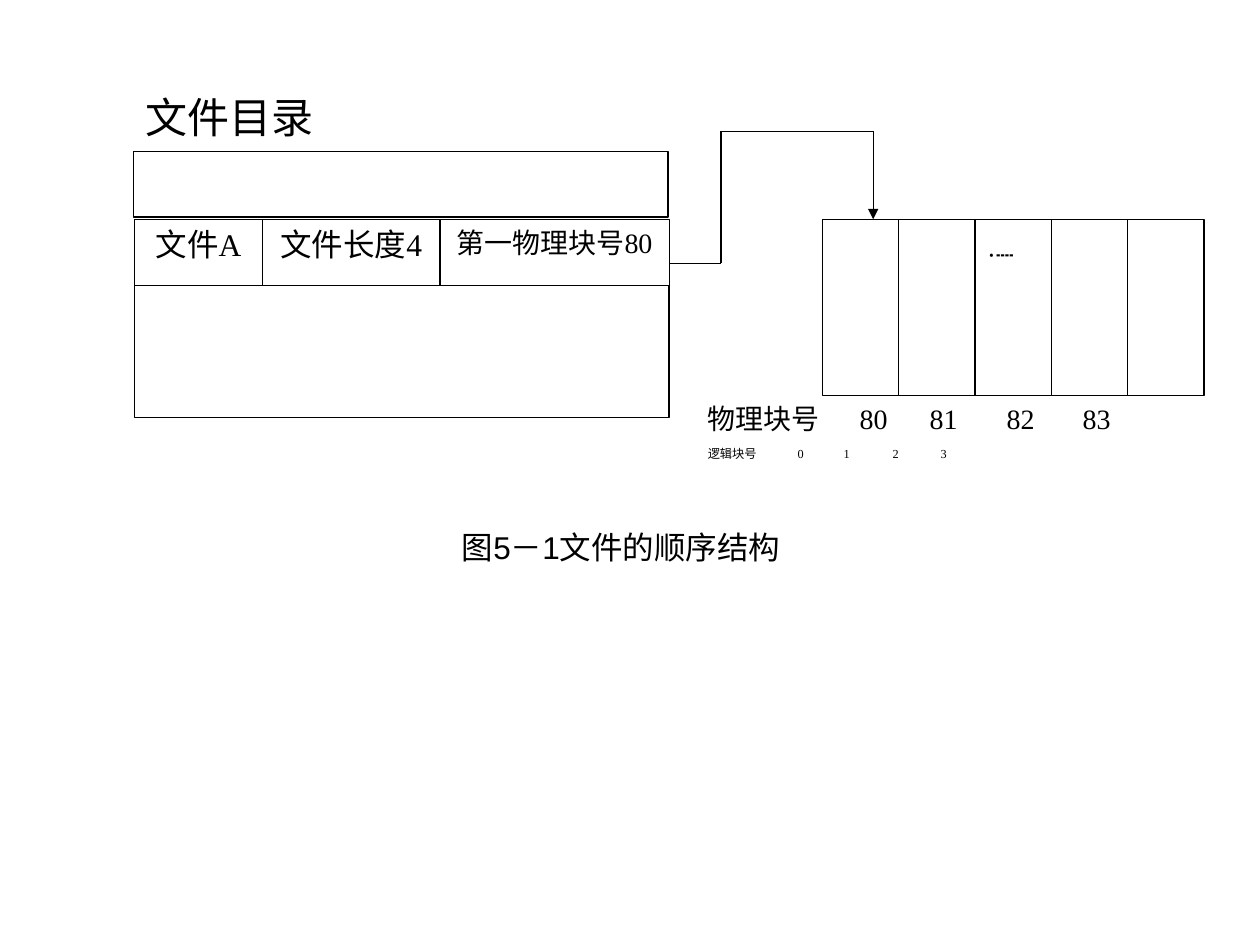
from pptx import Presentation
from pptx.dml.color import RGBColor
from pptx.enum.shapes import MSO_CONNECTOR, MSO_SHAPE
from pptx.enum.text import MSO_ANCHOR, MSO_AUTO_SIZE, PP_ALIGN
from pptx.oxml.ns import qn
from pptx.util import Pt
from lxml.etree import SubElement

BLACK = RGBColor(0, 0, 0)
WHITE = RGBColor(255, 255, 255)
SERIF, SANS, CJK = "Times New Roman", "Arial", "Noto Sans CJK SC"

DIRECTORY_LABEL = "文件目录"
RECORD = [("文件A", 73, 18), ("文件长度4", 101.5, 18), ("第一物理块号80", 131, 16)]  # text, width, size
BLOCKS = ["", "", "˙┉", "", ""]
NUMBER_ROWS = [  # cells, top, size, tab stops
    (["物理块号", "80", "81", "82", "83"], 226, 16, [86.8, 126.8, 170.8, 214.2]),
    (["逻辑块号", "0", "1", "2", "3"], 251.3, 7, [51.4, 77.6, 105.6, 133]),
]
CAPTION = "图5－1文件的顺序结构"

RECORD_LEFT, RECORD_TOP, RECORD_HEIGHT = 77, 125.3, 38
DIRECTORY_WIDTH = 305.4
BLOCK_LEFT, BLOCK_WIDTH, BLOCK_HEIGHT = 470, 43.6, 100.8
POINTER = [(382.5, 150.5), (412, 150.5), (412, 75), (499, 75), (499, RECORD_TOP)]


def write(shape, text, size, font=SERIF, align=PP_ALIGN.JUSTIFY,
          anchor=MSO_ANCHOR.TOP, wrap=True, top_margin=3.6, tabs=()):
    frame = shape.text_frame
    frame.word_wrap = wrap
    frame.vertical_anchor = anchor
    frame.margin_left = frame.margin_right = Pt(7.2)
    frame.margin_top, frame.margin_bottom = Pt(top_margin), Pt(3.6)
    paragraph = frame.paragraphs[0]
    paragraph.alignment = align
    if tabs:
        stops = SubElement(paragraph._p.get_or_add_pPr(), qn("a:tabLst"))
        for position in tabs:
            SubElement(stops, qn("a:tab"), pos=str(int(Pt(position))), algn="l")
    run = paragraph.add_run()
    run.text = text
    run.font.size = Pt(size)
    run.font.name = font
    run.font.color.rgb = BLACK
    SubElement(run._r.get_or_add_rPr(), qn("a:ea"), typeface=CJK)


def add_box(slide, left, top, width, height, outlined=True):
    box = slide.shapes.add_shape(MSO_SHAPE.RECTANGLE, Pt(left), Pt(top), Pt(width), Pt(height))
    box.shadow.inherit = False
    box.fill.solid()
    box.fill.fore_color.rgb = WHITE
    if outlined:
        box.line.color.rgb = BLACK
        box.line.width = Pt(0.75)
    else:
        box.line.fill.background()
    return box


def add_line(slide, start, end, arrow=False):
    line = slide.shapes.add_connector(MSO_CONNECTOR.STRAIGHT, *map(Pt, start + end))
    line.line.color.rgb = BLACK
    line.line.width = Pt(0.75)
    if arrow:
        SubElement(line.line._get_or_add_ln(), qn("a:tailEnd"), type="triangle")
    SubElement(line._element.spPr, qn("a:effectLst"))


def draw_directory(slide):
    label = add_box(slide, 76.3, 49, 276.5, 50.4, outlined=False)
    write(label, DIRECTORY_LABEL, 24)
    add_box(slide, 76.3, 86.6, DIRECTORY_WIDTH, 37.5)
    left = RECORD_LEFT
    for text, width, size in RECORD:
        field = add_box(slide, left, RECORD_TOP, width, RECORD_HEIGHT)
        write(field, text, size, align=PP_ALIGN.CENTER)
        left += width
    add_box(slide, RECORD_LEFT, RECORD_TOP + RECORD_HEIGHT, DIRECTORY_WIDTH, 75.4)


def draw_blocks(slide):
    for cells, top, size, tabs in NUMBER_ROWS:
        row = add_box(slide, 397.4, top, 290.9, 38, outlined=False)
        write(row, "\t".join(cells), size, tabs=tabs)
    for index, text in enumerate(BLOCKS):
        block = add_box(slide, BLOCK_LEFT + index * BLOCK_WIDTH, RECORD_TOP,
                        BLOCK_WIDTH, BLOCK_HEIGHT)
        if text:
            write(block, text, 10, font=CJK, top_margin=14.5)


def draw_pointer(slide):
    segments = list(zip(POINTER, POINTER[1:]))
    for start, end in segments:
        add_line(slide, start, end, arrow=(start, end) == segments[-1])


def place_caption(slide):
    caption = slide.shapes.title
    caption.left, caption.top, caption.width, caption.height = map(Pt, (248.4, 298, 213, 29))
    write(caption, CAPTION, 18, font=SANS, align=PP_ALIGN.CENTER,
          anchor=MSO_ANCHOR.MIDDLE, wrap=False)
    caption.text_frame.auto_size = MSO_AUTO_SIZE.SHAPE_TO_FIT_TEXT


def main():
    deck = Presentation()
    deck.slide_width, deck.slide_height = Pt(720), Pt(540)
    slide = deck.slides.add_slide(deck.slide_layouts[5])
    draw_directory(slide)
    draw_blocks(slide)
    draw_pointer(slide)
    place_caption(slide)
    deck.save("out.pptx")


if __name__ == "__main__":
    main()
